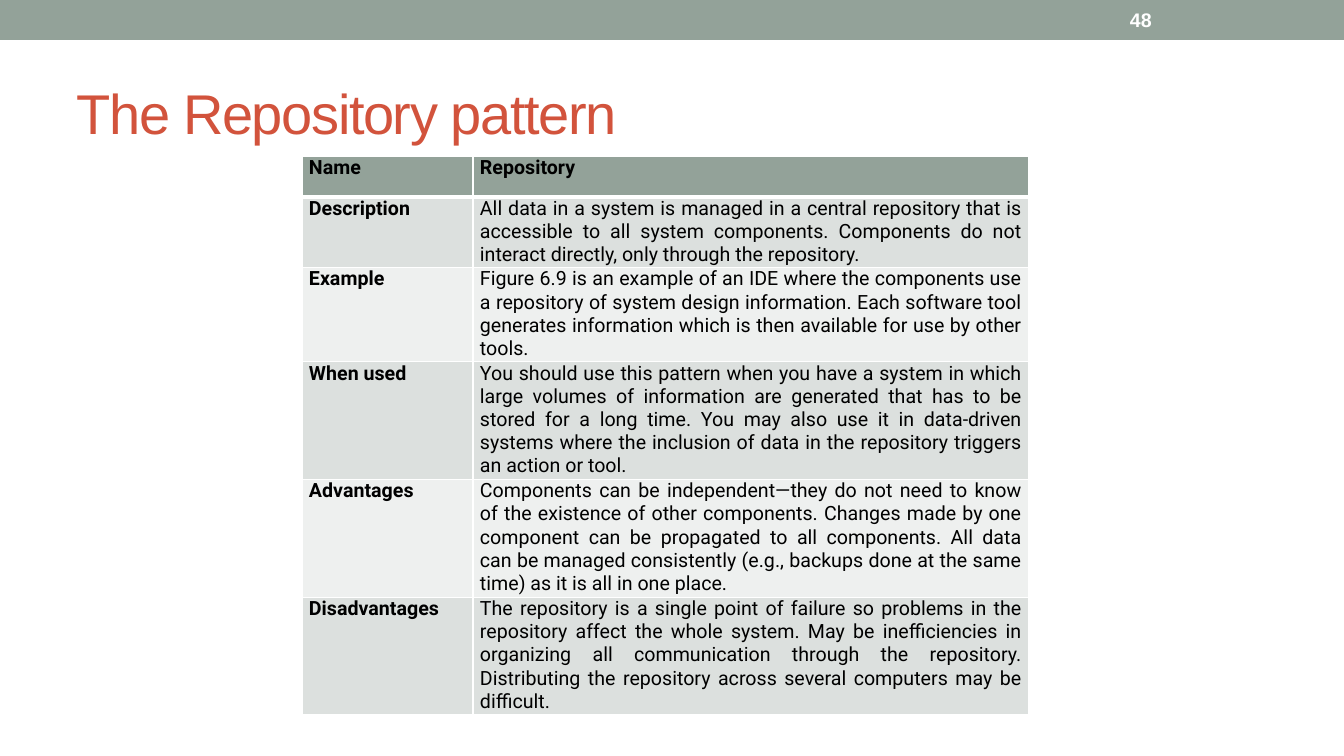
from lxml.etree import SubElement
from pptx import Presentation
from pptx.dml.color import RGBColor
from pptx.enum.shapes import MSO_SHAPE
from pptx.enum.text import MSO_ANCHOR, PP_ALIGN
from pptx.oxml.ns import qn
from pptx.util import Pt

EMU_PER_PX = 914400 / 100.8
COLORS = {
    "sage": "93A299",
    "band_dark": "DCE0DE",
    "band_light": "EEF0EF",
    "title": "D2533C",
    "text": "000000",
    "white": "FFFFFF",
}
COLUMN_WIDTHS = [171, 556]
HEADER_HEIGHT = 41
LINE_HEIGHT = 23

# Label, description, number of text lines
PATTERN_ROWS = [
    ("Name", "Repository", 1),
    ("Description",
     "All data in a system is managed in a central repository that is accessible to all "
     "system components. Components do not interact directly, only through the repository.", 3),
    ("Example",
     "Figure 6.9 is an example of an IDE where the components use a repository of system "
     "design information. Each software tool generates information which is then available "
     "for use by other tools.", 4),
    ("When used",
     "You should use this pattern when you have a system in which large volumes of "
     "information are generated that has to be stored for a long time. You may also use it "
     "in data-driven systems where the inclusion of data in the repository triggers an "
     "action or tool.", 5),
    ("Advantages",
     "Components can be independent—they do not need to know of the existence of other "
     "components. Changes made by one component can be propagated to all components. All "
     "data can be managed consistently (e.g., backups done at the same time) as it is all "
     "in one place.", 5),
    ("Disadvantages",
     "The repository is a single point of failure so problems in the repository affect the "
     "whole system. May be inefficiencies in organizing all communication through the "
     "repository. Distributing the repository across several computers may be difficult.", 5),
]


def px(length):
    return round(length * EMU_PER_PX)


def color(name):
    return RGBColor.from_string(COLORS[name])


def format_run(run, font, size, color_name, bold=False):
    run.font.name = font
    run.font.size = Pt(size)
    run.font.bold = bold
    run.font.color.rgb = color(color_name)


def add_band(slide, left, top, width, height):
    band = slide.shapes.add_shape(MSO_SHAPE.RECTANGLE, px(left), px(top), px(width), px(height))
    band.shadow.inherit = False
    band.fill.solid()
    band.fill.fore_color.rgb = color("sage")
    band.line.fill.background()


def add_label(slide, text, left, top, width, height, size, color_name, bold=False):
    label = slide.shapes.add_textbox(px(left), px(top), px(width), px(height))
    frame = label.text_frame
    frame.word_wrap = True
    frame.vertical_anchor = MSO_ANCHOR.MIDDLE
    frame.text = text
    run = frame.paragraphs[0].runs[0]
    format_run(run, "Arial", size, color_name, bold)
    return run


def add_borders(cell, top, bottom):
    properties = cell._tc.get_or_add_tcPr()
    for side, points in (("L", 1), ("R", 1), ("T", top), ("B", bottom)):
        border = SubElement(properties, qn(f"a:ln{side}"), w=str(Pt(points)))
        fill = SubElement(border, qn("a:solidFill"))
        SubElement(fill, qn("a:srgbClr"), val=COLORS["white"])


def fill_cell(cell, text, row, bold):
    add_borders(cell, top=3 if row == 1 else 1, bottom=3 if row == 0 else 1)
    if row == 0:
        background = "sage"
    else:
        background = "band_dark" if row % 2 else "band_light"
    cell.fill.solid()
    cell.fill.fore_color.rgb = color(background)
    cell.margin_left = cell.margin_right = px(7)
    cell.margin_top = cell.margin_bottom = 0
    cell.text_frame.text = text
    paragraph = cell.text_frame.paragraphs[0]
    paragraph.alignment = PP_ALIGN.JUSTIFY
    format_run(paragraph.runs[0], "Roboto", 14, "text", bold)


def add_pattern_table(slide, left, top):
    heights = [HEADER_HEIGHT] + [lines * LINE_HEIGHT for _, _, lines in PATTERN_ROWS[1:]]
    table = slide.shapes.add_table(len(PATTERN_ROWS), len(COLUMN_WIDTHS), px(left), px(top),
                                   px(sum(COLUMN_WIDTHS)), px(sum(heights))).table
    for column, width in zip(table.columns, COLUMN_WIDTHS):
        column.width = px(width)
    for row, (heading, description, _) in enumerate(PATTERN_ROWS):
        table.rows[row].height = px(heights[row])
        fill_cell(table.cell(row, 0), heading, row, bold=True)
        fill_cell(table.cell(row, 1), description, row, bold=row == 0)


def main():
    deck = Presentation()
    deck.slide_width, deck.slide_height = px(1344), px(756)
    slide = deck.slides.add_slide(deck.slide_layouts[6])

    # Top band
    add_band(slide, 0, 0, 1344, 40)

    # Title, slightly condensed
    title = add_label(slide, "The Repository pattern", 67, 58, 1210, 109, 40, "title")
    title.font._element.set("spc", "-100")

    # Pattern description
    add_pattern_table(slide, 302, 156)

    # Page number
    add_label(slide, "48", 1120, 2, 157, 36, 14, "white", bold=True)

    deck.save("out.pptx")


if __name__ == "__main__":
    main()
